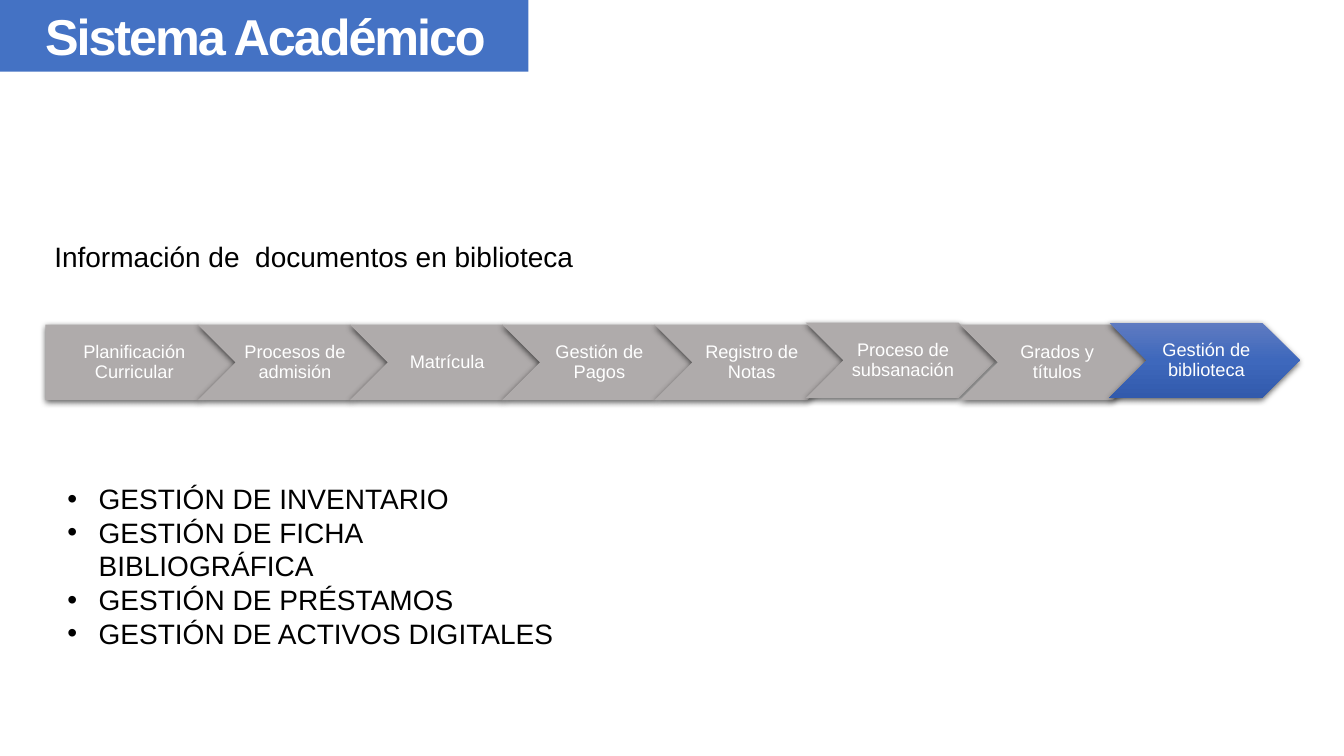
from copy import deepcopy

from lxml import etree
from pptx import Presentation
from pptx.dml.color import RGBColor
from pptx.enum.shapes import MSO_SHAPE
from pptx.enum.text import MSO_ANCHOR, PP_ALIGN
from pptx.oxml.ns import qn
from pptx.util import Inches, Pt

PENTAGON, CHEVRON, RECTANGLE = MSO_SHAPE.PENTAGON, MSO_SHAPE.CHEVRON, MSO_SHAPE.RECTANGLE
MIDDLE, TOP = MSO_ANCHOR.MIDDLE, MSO_ANCHOR.TOP
CENTER, LEFT = PP_ALIGN.CENTER, PP_ALIGN.LEFT

SLIDE_WIDTH, SLIDE_HEIGHT = 13.33, 7.5
FONT = "Arial"
COLORS = {
    "banner": "4472C4", "step": "AFABAB", "white": "FFFFFF", "black": "000000",
    "active_top": "5F7BC1", "active_middle": "3E68BC", "active_bottom": "325AAC",
}
STEPS = [
    "Planificación Curricular", "Procesos de admisión", "Matrícula", "Gestión de Pagos",
    "Registro de Notas", "Proceso de subsanación", "Grados y títulos", "Gestión de biblioteca",
]
STEP_WIDTH, STEP_PITCH = 1.89, 1.51
STEP_NUDGES = {5: (-0.01, -0.02), 6: (0.01, 0), 7: (-0.02, -0.02)}
MODULES = [
    "GESTIÓN DE INVENTARIO", "GESTIÓN DE FICHA BIBLIOGRÁFICA",
    "GESTIÓN DE PRÉSTAMOS", "GESTIÓN DE ACTIVOS DIGITALES",
]


def color(name):
    """Return the named colour of the palette."""
    return RGBColor.from_string(COLORS[name])


def style_run(run, size, color_name, bold=False):
    """Set the font, size and colour of a run."""
    run.font.name, run.font.size, run.font.bold = FONT, Pt(size), bold
    run.font.color.rgb = color(color_name)


def add_text(slide, box, lines, size, color_name, bold=False):
    """Add a wrapped text box with one paragraph per line and return its frame."""
    frame = slide.shapes.add_textbox(*map(Inches, box)).text_frame
    frame.word_wrap, frame.vertical_anchor = True, TOP
    frame.text = "\n".join(lines)
    for paragraph in frame.paragraphs:
        paragraph.alignment = LEFT
        style_run(paragraph.runs[0], size, color_name, bold)
    return frame


def add_block(slide, preset, box, fill_name):
    """Add a plain filled shape without line or shadow."""
    block = slide.shapes.add_shape(preset, *map(Inches, box))
    block.shadow.inherit = False
    block.fill.solid()
    block.fill.fore_color.rgb = color(fill_name)
    block.line.fill.background()
    return block


def add_drop_shadow(shape):
    """Give a shape a soft shadow that falls straight down."""
    effects = shape._element.spPr.find(qn("a:effectLst"))
    shadow = etree.SubElement(
        effects, qn("a:outerShdw"), blurRad=str(Pt(4.5)), dist=str(Pt(1.5)),
        dir="5400000", algn="ctr", rotWithShape="0")
    tint = etree.SubElement(shadow, qn("a:srgbClr"), val=COLORS["black"])
    etree.SubElement(tint, qn("a:alpha"), val="63000")


def fill_active(shape):
    """Fill a shape with the three-stop vertical gradient of the active step."""
    shape.fill.gradient()
    shape.fill.gradient_angle = 270
    stop_list = shape._element.spPr.find(".//" + qn("a:gsLst"))
    stop_list.insert(1, deepcopy(stop_list[0]))
    names = ("active_top", "active_middle", "active_bottom")
    for stop, name, position in zip(shape.fill.gradient_stops, names, (0, 0.5, 1)):
        stop.color.rgb = color(name)
        stop.position = position


def add_banner(slide, box):
    """Draw the title banner."""
    left, top, width, height = box
    add_block(slide, RECTANGLE, box, "banner")
    title = add_text(slide, (left + 0.35, top, width - 0.44, height),
                     ["Sistema Académico"], 36, "white", True)
    title.paragraphs[0].runs[0].font._element.set("spc", "-150")


def add_step(slide, box, label, first, active):
    """Draw one labelled arrow of the process."""
    step = add_block(slide, PENTAGON if first else CHEVRON, box, "step")
    add_drop_shadow(step)
    if active:
        fill_active(step)
    frame = step.text_frame
    frame.word_wrap, frame.vertical_anchor = True, MIDDLE
    frame.margin_left = Inches(0.08 if first else 0.06)
    frame.margin_right = Inches(0.02)
    frame.margin_top = frame.margin_bottom = Inches(0.04)
    frame.text = label
    paragraph = frame.paragraphs[0]
    paragraph.alignment, paragraph.line_spacing = CENTER, 0.9
    style_run(paragraph.runs[0], 13, "white")


def add_process(slide, box):
    """Draw the chain of overlapping steps with the last one active."""
    left, top, _, height = box
    last = len(STEPS) - 1
    for index, label in enumerate(STEPS):
        dx, dy = STEP_NUDGES.get(index, (0, 0))
        step_box = (left + index * STEP_PITCH + dx, top + dy, STEP_WIDTH, height)
        add_step(slide, step_box, label, index == 0, index == last)


def add_modules(slide, box):
    """Draw the bulleted list of library modules."""
    frame = add_text(slide, box, MODULES, 20, "black")
    for paragraph in frame.paragraphs:
        properties = paragraph._p.get_or_add_pPr()
        properties.set("marL", str(Inches(0.31)))
        properties.set("indent", str(-Inches(0.31)))
        etree.SubElement(properties, qn("a:buFont"), typeface=FONT)
        etree.SubElement(properties, qn("a:buChar"), char="•")


def main():
    """Build the slide and save it."""
    deck = Presentation()
    deck.slide_width, deck.slide_height = Inches(SLIDE_WIDTH), Inches(SLIDE_HEIGHT)
    slide = deck.slides.add_slide(deck.slide_layouts[6])
    add_banner(slide, (0, 0, 5.24, 0.71))
    add_modules(slide, (0.57, 4.73, 5.21, 1.45))
    add_text(slide, (0.44, 2.33, 5.4, 0.44),
             ["Información de  documentos en biblioteca"], 20, "black")
    add_process(slide, (0.45, 3.22, 12.44, 0.75))
    deck.save("out.pptx")


if __name__ == "__main__":
    main()
